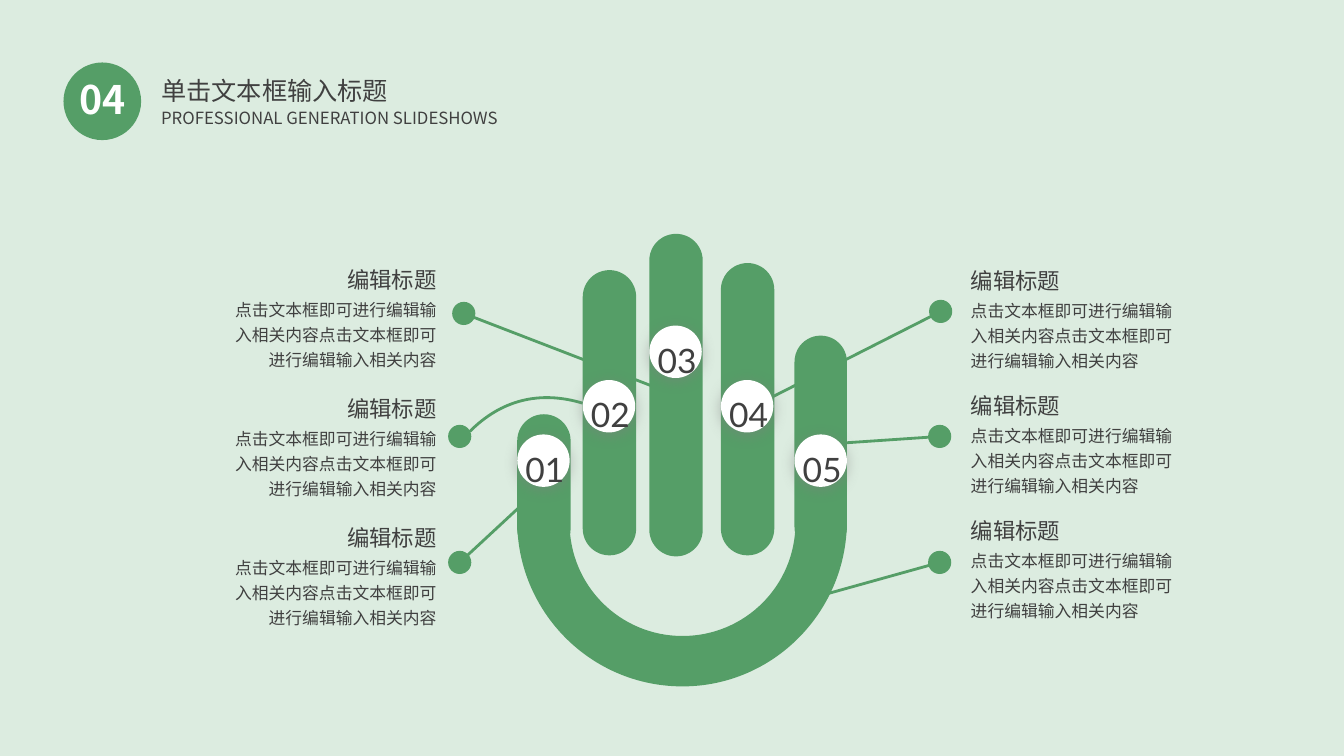
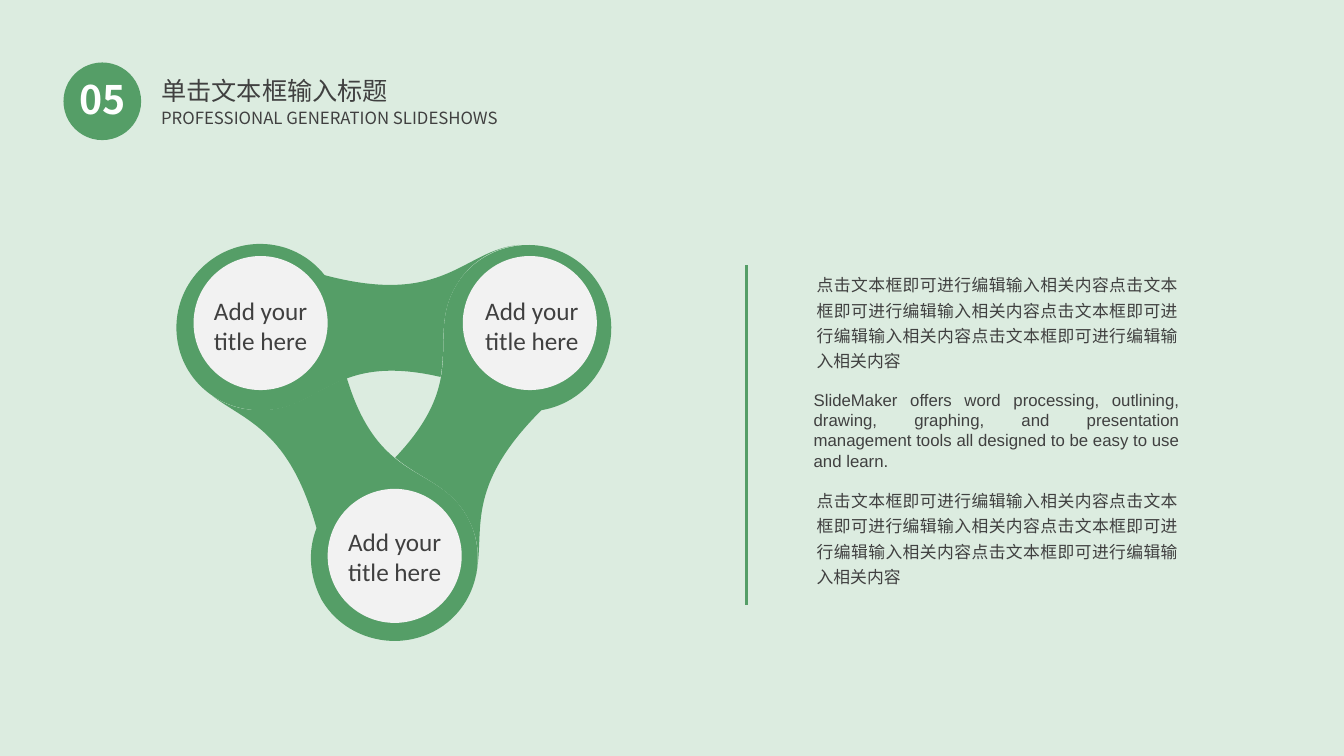
from lxml import etree
from pptx import Presentation
from pptx.dml.color import RGBColor
from pptx.enum.shapes import MSO_CONNECTOR, MSO_SHAPE
from pptx.enum.text import MSO_ANCHOR, MSO_AUTO_SIZE, PP_ALIGN
from pptx.oxml import parse_xml
from pptx.oxml.ns import nsdecls, qn
from pptx.util import Inches, Pt

OVAL, STRAIGHT = MSO_SHAPE.OVAL, MSO_CONNECTOR.STRAIGHT
PILL = MSO_SHAPE.ROUNDED_RECTANGLE
TOP, MIDDLE = MSO_ANCHOR.TOP, MSO_ANCHOR.MIDDLE
LEFT, CENTER, RIGHT, JUSTIFY = PP_ALIGN.LEFT, PP_ALIGN.CENTER, PP_ALIGN.RIGHT, PP_ALIGN.JUSTIFY
NO_FIT = MSO_AUTO_SIZE.NONE

MINT = RGBColor(0xDC, 0xEC, 0xE0)
GREEN = RGBColor(0x55, 0x9E, 0x67)
INK = RGBColor(0x40, 0x40, 0x40)
WHITE = RGBColor(0xFF, 0xFF, 0xFF)
PALE = RGBColor(0xF2, 0xF2, 0xF2)
HAN, LATO, CALIBRI, ARIAL = "Noto Sans CJK SC", "Lato", "Calibri", "Arial"

TITLE = "单击文本框输入标题"
SUBTITLE = "PROFESSIONAL GENERATION SLIDESHOWS"
HEADING = "编辑标题"
FILLER = "点击文本框即可进行编辑输入相关内容"
ENGLISH = ("SlideMaker offers word processing, outlining, drawing, graphing, and presentation "
           "management tools all designed to be easy to use and learn.")

FINGERS = [(0, 1.79, 0.53, 1.4), (0.65, 0.36, 0.53, 2.83), (1.31, 0, 0.53, 3.2),
           (2.02, 0.29, 0.53, 2.9), (2.75, 1.01, 0.52, 2.16)]
BADGE, DOT = 0.52, 0.23
PALM = [(0, 2.66), (0, 2.85), (0, 3.75, 0.73, 4.49, 1.64, 4.49), (2.54, 4.49, 3.27, 3.75, 3.27, 2.85),
        (3.27, 2.66), (2.76, 2.66), (2.76, 2.87), (2.76, 3.49, 2.26, 3.99, 1.64, 3.99),
        (1.02, 3.99, 0.52, 3.49, 0.52, 2.87), (0.52, 2.66)]
LEFT_LINKS = [((4.6, 3.11), (6.7, 3.92)), ((4.56, 4.33), None), ((4.56, 5.58), (5.39, 4.81))]
RIGHT_LINKS = [((9.33, 3.09), (7.42, 4.06)), ((9.32, 4.33), (8.14, 4.41)), ((9.32, 5.58), (8.1, 5.92))]
BOW = [(4.66, 4.28), (4.97, 3.97, 5.35, 3.87, 5.78, 4)]

LOBES = [
    [(0.36, 1.51), (0.69, 1.76, 1.12, 1.85, 1.39, 2.82), (1.3, 3.05, 1.32, 3.3, 1.44, 3.53),
     (1.66, 3.91, 2.17, 4.06, 2.58, 3.83), (2.98, 3.6, 3.1, 3.09, 2.88, 2.7),
     (2.58, 2.18, 2.01, 2.39, 1.69, 1.33), (1.37, 1.45, 1.19, 1.65, 0.83, 1.65),
     (0.66, 1.65, 0.51, 1.61, 0.36, 1.51)],
    [(3.4, 0.01), (2.84, 0.06, 2.67, 0.63, 1.47, 0.31), (1.32, 0.12, 1.09, 0, 0.83, 0),
     (0.38, 0, 0, 0.37, 0, 0.83), (0, 1.3, 0.38, 1.65, 0.83, 1.65),
     (1.44, 1.66, 1.54, 1.07, 2.62, 1.32), (2.68, 0.99, 2.59, 0.73, 2.77, 0.42),
     (2.9, 0.19, 3.13, 0.04, 3.4, 0.01)],
    [(2.97, 3.29), (3.07, 2.84, 2.84, 2.43, 3.62, 1.65), (3.86, 1.61, 4.07, 1.47, 4.2, 1.25),
     (4.43, 0.86, 4.3, 0.35, 3.9, 0.12), (3.5, -0.11, 2.99, 0.04, 2.77, 0.42),
     (2.47, 0.94, 2.93, 1.32, 2.17, 2.12), (2.43, 2.34, 2.7, 2.39, 2.88, 2.7),
     (2.98, 2.88, 3.02, 3.08, 2.97, 3.29)],
]
DISCS = [((1.5, 2.43), (1.55, 2.75)), ((0.17, 0.12), (0.22, 0.46)), ((2.84, 0.12), (2.91, 0.46))]
DISC = 1.33


def box(left, top, width, height):
    """Turn a box in inches into lengths."""
    return Inches(left), Inches(top), Inches(width), Inches(height)


def style(paragraph, size, font=HAN, color=INK, align=LEFT, spacing=1.0, before=0, bold=False):
    """Format a paragraph and its runs."""
    paragraph.alignment = align
    paragraph.line_spacing = spacing
    paragraph.space_before = Pt(before)
    for run in paragraph.runs:
        run.font.size, run.font.name, run.font.bold = Pt(size), font, bold
        run.font.color.rgb = color
        etree.SubElement(run._r.get_or_add_rPr(), qn("a:ea")).set("typeface", font)


def frame(holder, inset=(0.1, 0.05), anchor=TOP, wrap=True):
    """Set up the text frame of a shape and return it."""
    text = holder.text_frame
    text.auto_size, text.word_wrap, text.vertical_anchor = NO_FIT, wrap, anchor
    text.margin_left = text.margin_right = Inches(inset[0])
    text.margin_top = text.margin_bottom = Inches(inset[1])
    return text


def solid(shape, color):
    """Give a shape a flat fill without line or shadow."""
    shape.shadow.inherit = False
    shape.fill.solid()
    shape.fill.fore_color.rgb = color
    shape.line.fill.background()
    return shape


def add_solid(slide, kind, area, color):
    """Add a flat preset shape."""
    return solid(slide.shapes.add_shape(kind, *box(*area)), color)


def add_link(slide, start, end, weight=2):
    """Add a straight green line."""
    link = slide.shapes.add_connector(STRAIGHT, *(Inches(v) for v in start + end))
    link.line.color.rgb, link.line.width = GREEN, Pt(weight)
    etree.SubElement(link._element.spPr, qn("a:effectLst"))


def add_outline(slide, steps, left=0, top=0, close=True):
    """Add a freeform whose steps are lines (x, y) or cubic curves (x1, y1, x2, y2, x3, y3)."""
    points = [(Inches(left + x), Inches(top + y))
              for step in steps for x, y in zip(step[::2], step[1::2])]
    builder = slide.shapes.build_freeform(*points[0])
    builder.add_line_segments(points[1:], close=close)
    outline = builder.convert_to_shape()
    segments = iter(list(outline._element.iter(qn("a:lnTo"))))
    for step in steps[1:]:
        first = next(segments)
        if len(step) == 6:
            curve = etree.Element(qn("a:cubicBezTo"))
            first.addprevious(curve)
            for segment in (first, next(segments), next(segments)):
                curve.append(segment[0])
                segment.getparent().remove(segment)
    return outline


def add_header(slide, number, left=0.63, top=0.62):
    """Place the numbered circle, title and subtitle."""
    circle = add_solid(slide, OVAL, (left, top, 0.77, 0.77), GREEN)
    text = frame(circle, (0, 0), MIDDLE, wrap=False)
    text.margin_bottom = Inches(0.05)
    text.text = number
    style(text.paragraphs[0], 28, color=WHITE, align=CENTER, bold=True)
    title = slide.shapes.title
    title.left, title.top, title.width, title.height = box(left + 0.87, top - 0.07, 2.6, 0.56)
    text = frame(title)
    text.text = TITLE
    style(text.paragraphs[0], 18, spacing=1.5)
    text = frame(slide.shapes.add_textbox(*box(left + 0.87, top + 0.4, 4.64, 0.3)))
    text.text = SUBTITLE
    style(text.paragraphs[0], 12)


def add_badge(slide, left, top, number):
    """Place a white number disc with a soft shadow."""
    badge = add_solid(slide, OVAL, (left, top, BADGE, BADGE), WHITE)
    badge._element.spPr.find(qn("a:effectLst")).append(parse_xml(
        f'<a:outerShdw {nsdecls("a")} blurRad="{Pt(10)}" dist="{Pt(2)}" dir="5400000">'
        '<a:srgbClr val="808080"><a:alpha val="50000"/></a:srgbClr></a:outerShdw>'))
    text = frame(badge, (0, 0), MIDDLE, wrap=False)
    text.margin_left = Inches(0.03)
    text.text = number
    style(text.paragraphs[0], 24, LATO, align=CENTER, spacing=1.4)


def add_hand(slide, left, top):
    """Draw the palm, the fingers and their numbers."""
    solid(add_outline(slide, PALM, left, top), GREEN)
    for index, (x, y, width, height) in enumerate(FINGERS):
        finger = add_solid(slide, PILL, (left + x, top + y, width, height), GREEN)
        finger.adjustments[0] = 0.5
        add_badge(slide, left + x, top + 0.91 + 0.54 * abs(index - 2), f"{index + 1:02}")


def add_callouts(slide, left, top, pitch, align, links):
    """Stack the callouts of one side with their dots and links."""
    for row, (dot, target) in enumerate(links):
        add_solid(slide, OVAL, (dot[0] - DOT / 2, dot[1] - DOT / 2, DOT, DOT), GREEN)
        if target:
            add_link(slide, dot, target)
        text = frame(slide.shapes.add_textbox(*box(left, top + pitch * row, 2.3, 1.15)))
        text.text = f"{HEADING}\n{FILLER * 2}"
        heading, detail = text.paragraphs
        style(heading, 16, align=align)
        style(detail, 12, align=align, spacing=1.25, before=1)


def add_lobes(slide, left, top):
    """Draw the three joined lobes with their labelled discs."""
    for lobe in LOBES:
        solid(add_outline(slide, lobe, left, top), GREEN)
    for (x, y), (label_x, label_y) in DISCS:
        add_solid(slide, OVAL, (left + x, top + y, DISC, DISC), PALE)
        label = slide.shapes.add_textbox(*box(left + label_x, top + label_y, 1.23, 0.71))
        text = frame(label)
        text.text = "Add your title here"
        style(text.paragraphs[0], 18, CALIBRI, align=CENTER)


def add_reading(slide, left, top):
    """Place the rule and the three paragraphs beside it."""
    add_link(slide, (left, top), (left, top + 3.37), 2.25)
    body = slide.placeholders[1]
    body.left, body.top, body.width, body.height = box(left + 0.57, top, 3.83, 3.25)
    text = frame(body)
    text.text = "\n".join([FILLER * 4, ENGLISH, FILLER * 4])
    looks = [(HAN, 1.25, 0, 0.03), (ARIAL, 1.0, 13.5, 0), (HAN, 1.25, 11, 0.03)]
    for paragraph, (font, spacing, before, indent) in zip(text.paragraphs, looks):
        properties = paragraph._p.get_or_add_pPr()
        properties.set("marL", str(Inches(indent)))
        properties.set("marR", str(Inches(indent / 2)))
        properties.set("indent", "0")
        etree.SubElement(properties, qn("a:buNone"))
        style(paragraph, 12, font, align=JUSTIFY, spacing=spacing, before=before)


def build_hand_slide(prs):
    """Build the slide with the numbered hand."""
    slide = prs.slides.add_slide(prs.slide_layouts[5])
    add_header(slide, "04")
    bow = add_outline(slide, BOW, close=False)
    bow.shadow.inherit = False
    bow.fill.background()
    bow.line.color.rgb, bow.line.width = GREEN, Pt(2)
    add_callouts(slide, 2.13, 2.59, 1.28, RIGHT, LEFT_LINKS)
    add_callouts(slide, 9.53, 2.6, 1.24, LEFT, RIGHT_LINKS)
    add_hand(slide, 5.13, 2.32)


def build_lobes_slide(prs):
    """Build the slide with the joined lobes and the reading text."""
    slide = prs.slides.add_slide(prs.slide_layouts[1])
    add_header(slide, "05")
    add_lobes(slide, 1.75, 2.42)
    add_reading(slide, 7.4, 2.63)


def main():
    """Build and save the presentation."""
    prs = Presentation()
    prs.slide_width, prs.slide_height = Inches(13.33), Inches(7.5)
    background = prs.slide_master.background.fill
    background.solid()
    background.fore_color.rgb = MINT
    build_hand_slide(prs)
    build_lobes_slide(prs)
    prs.save("out.pptx")


if __name__ == "__main__":
    main()
